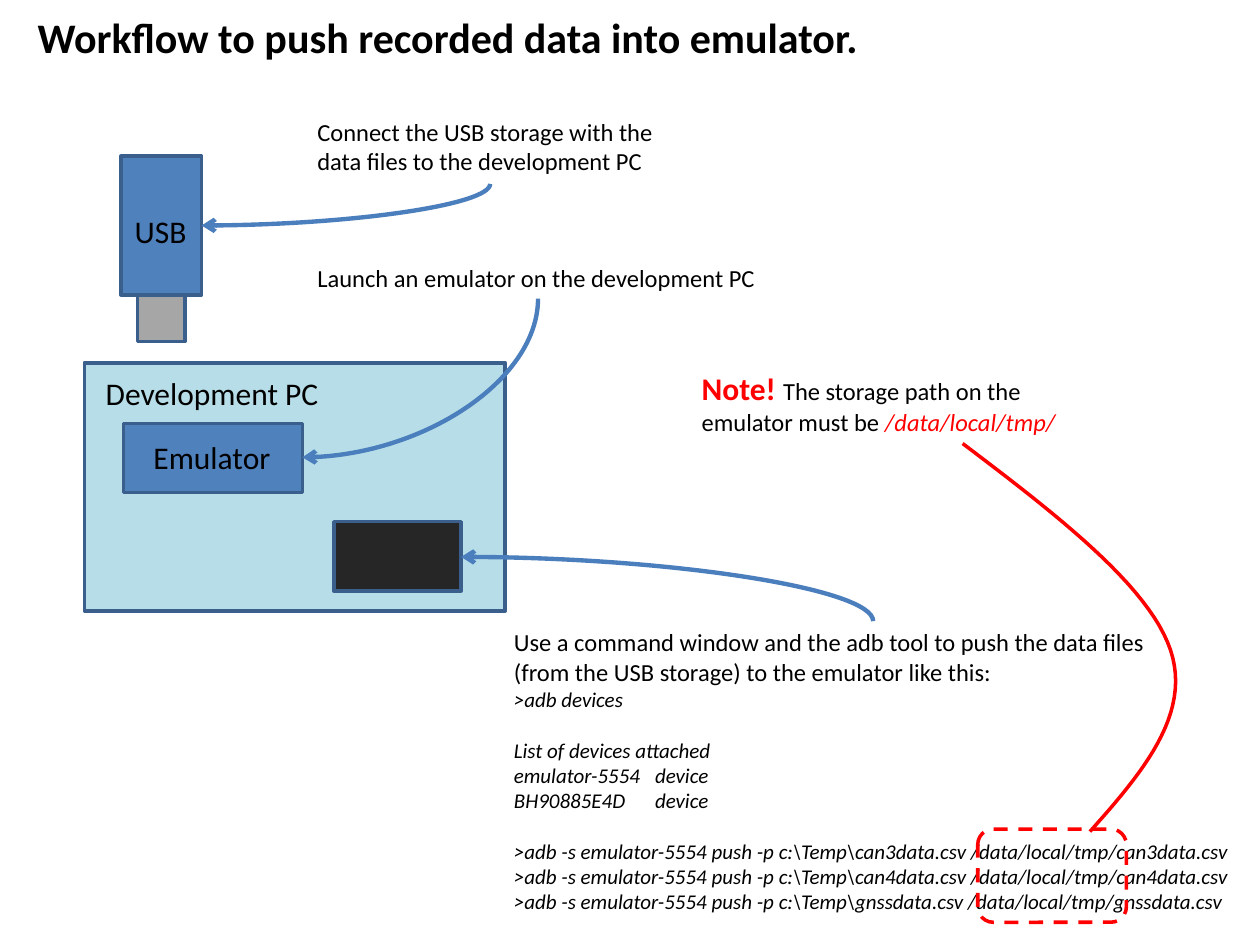
from lxml import etree
from pptx import Presentation
from pptx.dml.color import RGBColor
from pptx.enum.dml import MSO_LINE
from pptx.enum.shapes import MSO_CONNECTOR, MSO_SHAPE
from pptx.enum.text import MSO_AUTO_SIZE
from pptx.oxml.ns import qn
from pptx.util import Inches, Pt

RECT, ROUND = MSO_SHAPE.RECTANGLE, MSO_SHAPE.ROUNDED_RECTANGLE
CURVE, DASH, FIT = MSO_CONNECTOR.CURVE, MSO_LINE.DASH, MSO_AUTO_SIZE.SHAPE_TO_FIT_TEXT
BLUE, EDGE, ARROW, RED = "4F81BD", "3A5F8C", "4B7EBC", "FF0000"

deck = Presentation()
deck.slide_width, deck.slide_height = Inches(10), Inches(7.5)
slide = deck.slides.add_slide(deck.slide_layouts[6])
shapes = slide.shapes


def paint(part, color, width=None):
    """Colour a fill or font, or a line when a width is given."""
    if width:
        part.width = Pt(width)
        part = part.fill
    if hasattr(part, "solid"):
        part.solid()
        part.fore_color.rgb = RGBColor.from_string(color)
    else:
        part.color.rgb = RGBColor.from_string(color)


def write(box, paras, wrap=False):
    """Add a text box; each paragraph is a list of (text, format) runs."""
    frame = shapes.add_textbox(*map(Inches, box)).text_frame
    frame.word_wrap, frame.auto_size = wrap, FIT
    for i, runs in enumerate(paras):
        para = frame.add_paragraph() if i else frame.paragraphs[0]
        for text, style in runs:
            run = para.add_run()
            run.text = text
            look = {"name": "Calibri", "color": "000000", **style}
            paint(run.font, look.pop("color"))
            for key, value in look.items():
                setattr(run.font, key, value)
    return frame


# Boxes: PC, emulator, command window, USB body and plug
for box, color in [
    ((0.67, 2.88, 3.34, 1.97), "B7DEE8"),
    ((0.98, 3.36, 1.42, 0.55), BLUE),
    ((2.65, 4.14, 1.01, 0.55), "262626"),
    ((0.96, 1.24, 0.64, 1.1), BLUE),
    ((1.09, 2.34, 0.38, 0.37), "A6A6A6"),
]:
    rect = shapes.add_shape(RECT, *map(Inches, box))
    rect.shadow.inherit = False
    paint(rect.fill, color)
    paint(rect.line, EDGE, 2)

# Title, labels and steps
big, mid, small = {"size": Pt(18)}, {"size": Pt(14)}, {"size": Pt(12), "italic": True}
for box, style, lines in [
    ((0.2, 0.04, 6.71, 0.5), {"size": Pt(24), "bold": True},
     ["Workflow to push recorded data into emulator."]),
    ((0.97, 1.63, 0.62, 0.4), big, ["USB"]),
    ((0.74, 2.92, 1.91, 0.4), big, ["Development PC"]),
    ((1.12, 3.43, 1.14, 0.4), big, ["Emulator"]),
    ((2.42, 0.88, 2.93, 0.57), mid,
     ["Connect the USB storage with the", "data files to the development PC"]),
    ((2.42, 2.04, 3.71, 0.34), mid, ["Launch an emulator on the development PC"]),
]:
    write(box, [[(line, style)] for line in lines])

# Command window steps
intro = ["Use a command window and the adb tool to push the data files",
         "(from the USB storage) to the emulator like this:"]
log = [">adb devices", "List of devices attached",
       "emulator-5554\tdevice", "BH90885E4D\tdevice"]
log += [f">adb -s emulator-5554 push -p c:\\Temp\\{name}.csv /data/local/tmp/{name}.csv"
        for name in ("can3data", "can4data", "gnssdata")]
steps = write((3.98, 4.93, 5.91, 2.39),
              [[(line, mid)] for line in intro] + [[(line, small)] for line in log])
for i in (3, 6):
    steps.paragraphs[i].space_before = Pt(14.65)
for para in steps.paragraphs[4:6]:
    tabs = etree.SubElement(para._p.get_or_add_pPr(), qn("a:tabLst"))
    etree.SubElement(tabs, qn("a:tab"), pos=str(Inches(1.12)), algn="l")

# Note on the storage path
write((5.47, 2.88, 3.01, 0.64), [[
    ("Note! ", {**big, "bold": True, "color": RED}),
    ("The storage path on the emulator must be ", mid),
    ("/data/local/tmp/", {**mid, "italic": True, "color": RED}),
]], wrap=True)

# Curved arrows: a quarter turn leaves each step vertically
for x1, y1, x2, y2 in [
    (3.89, 1.46, 1.6, 1.79),
    (4.27, 2.37, 2.4, 3.63),
    (6.93, 4.93, 3.66, 4.42),
]:
    midx, midy = (x1 + x2) / 2, (y1 + y2) / 2
    dx, dy = abs(y2 - y1) / 2, (x1 - x2) / 2
    down = y2 > y1
    if not down:
        dy = -dy
    arrow = shapes.add_connector(CURVE, Inches(midx - dx), Inches(midy - dy),
                                 Inches(midx + dx), Inches(midy + dy))
    paint(arrow.line, ARROW, 2.5)
    props = arrow._element.spPr
    props.find(qn("a:xfrm")).set("rot", str((90 if down else 270) * 60000))
    props.find(qn("a:prstGeom")).set("prst", "curvedConnector2")
    etree.SubElement(props.find(qn("a:ln")), qn("a:tailEnd"), type="arrow")
    etree.SubElement(props, qn("a:effectLst"))

# Dashed frame around the path
frame = shapes.add_shape(ROUND, Inches(7.76), Inches(6.58), Inches(1.18), Inches(0.74))
frame.line.dash_style = DASH

# Red curve from the note to the frame, traced along two Bezier arcs
knots = [(7.64, 3.52), (8.38, 4.08), (9.12, 4.65), (9.29, 5.16),
         (9.46, 5.67), (9.06, 6.14), (8.65, 6.6)]
trace = []
for k in (0, 3):
    for n in range(1, 25):
        t = n / 24
        mix = ((1 - t) ** 3, 3 * t * (1 - t) ** 2, 3 * t * t * (1 - t), t ** 3)
        trace.append([Inches(sum(m * p[axis] for m, p in zip(mix, knots[k:k + 4])))
                      for axis in (0, 1)])
pen = shapes.build_freeform(*map(Inches, knots[0]))
pen.add_line_segments(trace, close=False)
for shape in (frame, pen.convert_to_shape()):
    shape.shadow.inherit = False
    shape.fill.background()
    paint(shape.line, RED, 2)

deck.save("out.pptx")
